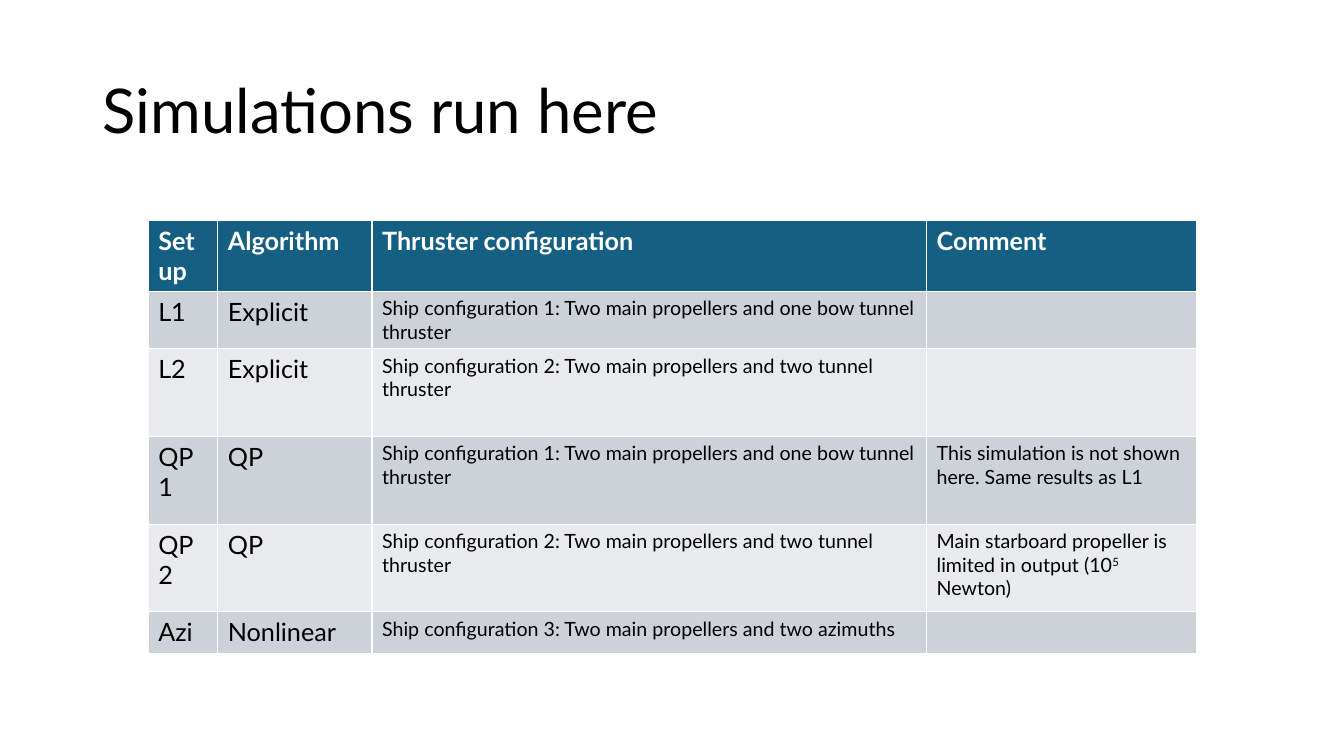
from pptx import Presentation
from pptx.dml.color import RGBColor
from pptx.enum.text import MSO_ANCHOR, MSO_AUTO_SIZE, PP_ALIGN
from pptx.util import Inches, Pt

MIDDLE = MSO_ANCHOR.MIDDLE
NO_AUTOFIT = MSO_AUTO_SIZE.NONE
LEFT = PP_ALIGN.LEFT

TITLE_ONLY_LAYOUT = 5
FONT = "Lato"
COLORS = {
    "text": "000000",
    "header_text": "FFFFFF",
    "header": "156082",
    "odd_row": "CCD2D8",
    "even_row": "E8EAED",
}

COLUMN_WIDTHS = [0.69, 1.53, 5.5, 2.68]
ROW_HEIGHTS = [0.69, 0.57, 0.87, 0.87, 0.87, 0.41]
COLUMN_SIZES = [18, 18, 14, 14]
HEADER_SIZE = 18

HEADERS = ["Setup", "Algorithm", "Thruster configuration", "Comment"]
BOW_TUNNEL = "Ship configuration 1: Two main propellers and one bow tunnel thruster"
TWO_TUNNEL = "Ship configuration 2: Two main propellers and two tunnel thruster"
AZIMUTHS = "Ship configuration 3: Two main propellers and two azimuths"
# A caret pair encloses superscript text.
SIMULATIONS = [
    ["L1", "Explicit", BOW_TUNNEL, ""],
    ["L2", "Explicit", TWO_TUNNEL, ""],
    ["QP1", "QP", BOW_TUNNEL, "This simulation is not shown here. Same results as L1"],
    ["QP2", "QP", TWO_TUNNEL,
     "Main starboard propeller is limited in output (10^5^ Newton)"],
    ["Azi", "Nonlinear", AZIMUTHS, ""],
]


def rgb(name):
    return RGBColor.from_string(COLORS[name])


def format_font(paragraph, size, color, bold=False):
    font = paragraph.font
    font.name = FONT
    font.size = Pt(size)
    font.bold = bold
    font.color.rgb = rgb(color)


def set_title(slide, text):
    title = slide.shapes.title
    title.left, title.top = Inches(0.92), Inches(0.4)
    title.width, title.height = Inches(11.5), Inches(1.45)
    frame = title.text_frame
    frame.text = text
    frame.auto_size = NO_AUTOFIT
    frame.vertical_anchor = MIDDLE
    paragraph = frame.paragraphs[0]
    paragraph.alignment = LEFT
    paragraph.line_spacing = 0.9
    format_font(paragraph, 44, "text")


def add_marked_text(paragraph, text):
    """Add text as runs, raising the parts between carets."""
    for index, part in enumerate(text.split("^")):
        if part:
            run = paragraph.add_run()
            run.text = part
            if index % 2:
                run.font._element.set("baseline", "30000")


def fill_cell(cell, text, fill, size, color, bold):
    cell.fill.solid()
    cell.fill.fore_color.rgb = rgb(fill)
    paragraph = cell.text_frame.paragraphs[0]
    format_font(paragraph, size, color, bold)
    add_marked_text(paragraph, text)


def add_simulation_table(slide):
    rows = [HEADERS] + SIMULATIONS
    table = slide.shapes.add_table(
        len(rows), len(HEADERS), Inches(1.47), Inches(2.19),
        Inches(sum(COLUMN_WIDTHS)), Inches(sum(ROW_HEIGHTS))).table
    for column, width in zip(table.columns, COLUMN_WIDTHS):
        column.width = Inches(width)
    for row, height in zip(table.rows, ROW_HEIGHTS):
        row.height = Inches(height)

    for column_index, header in enumerate(HEADERS):
        fill_cell(table.cell(0, column_index), header, "header",
                  HEADER_SIZE, "header_text", True)
    for row_index, simulation in enumerate(SIMULATIONS, start=1):
        fill = "odd_row" if row_index % 2 else "even_row"
        for column_index, text in enumerate(simulation):
            fill_cell(table.cell(row_index, column_index), text, fill,
                      COLUMN_SIZES[column_index], "text", False)


def main():
    presentation = Presentation()
    presentation.slide_width = Inches(13.33)
    presentation.slide_height = Inches(7.5)
    layout = presentation.slide_layouts[TITLE_ONLY_LAYOUT]
    slide = presentation.slides.add_slide(layout)
    set_title(slide, "Simulations run here")
    add_simulation_table(slide)
    presentation.save("out.pptx")


if __name__ == "__main__":
    main()
